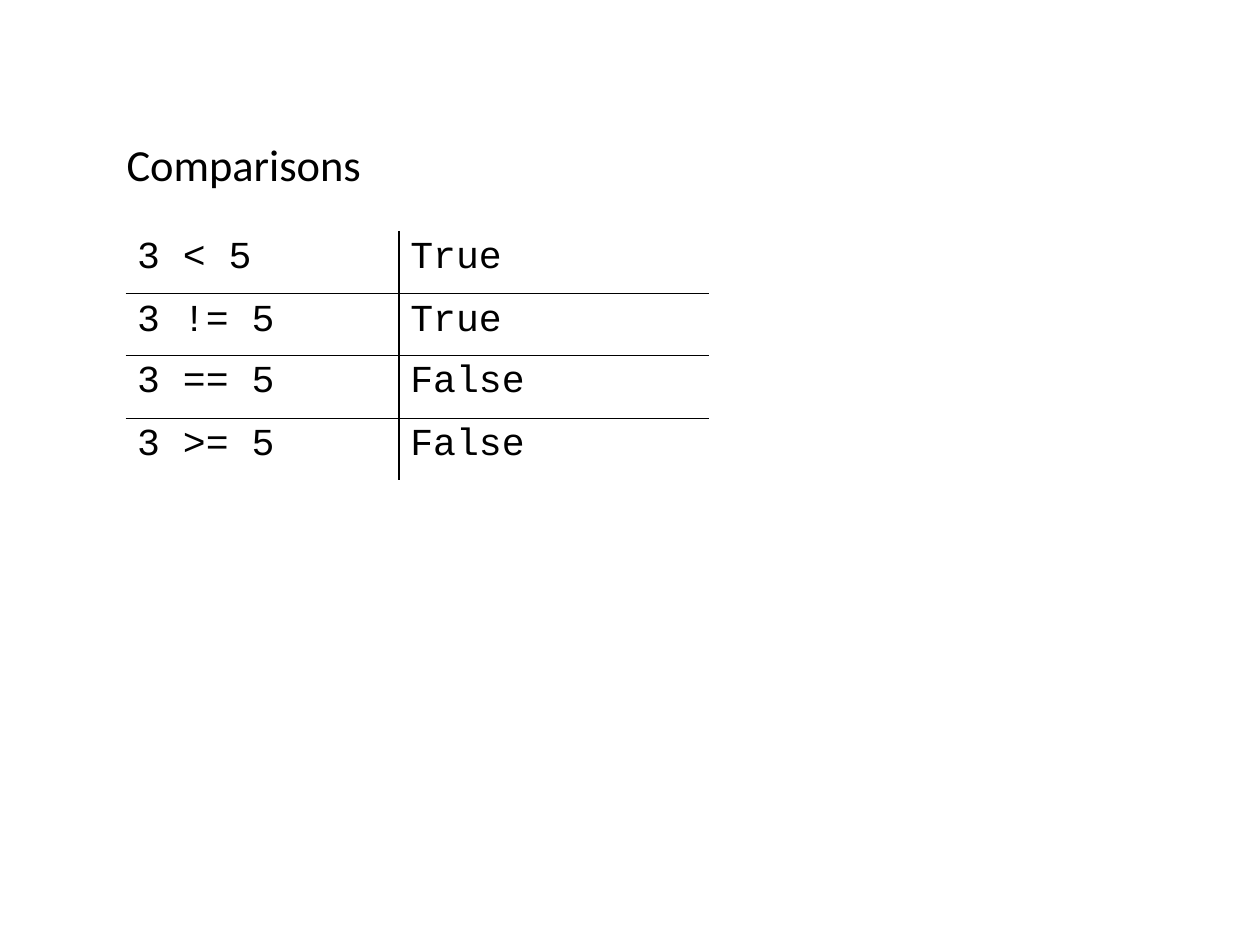
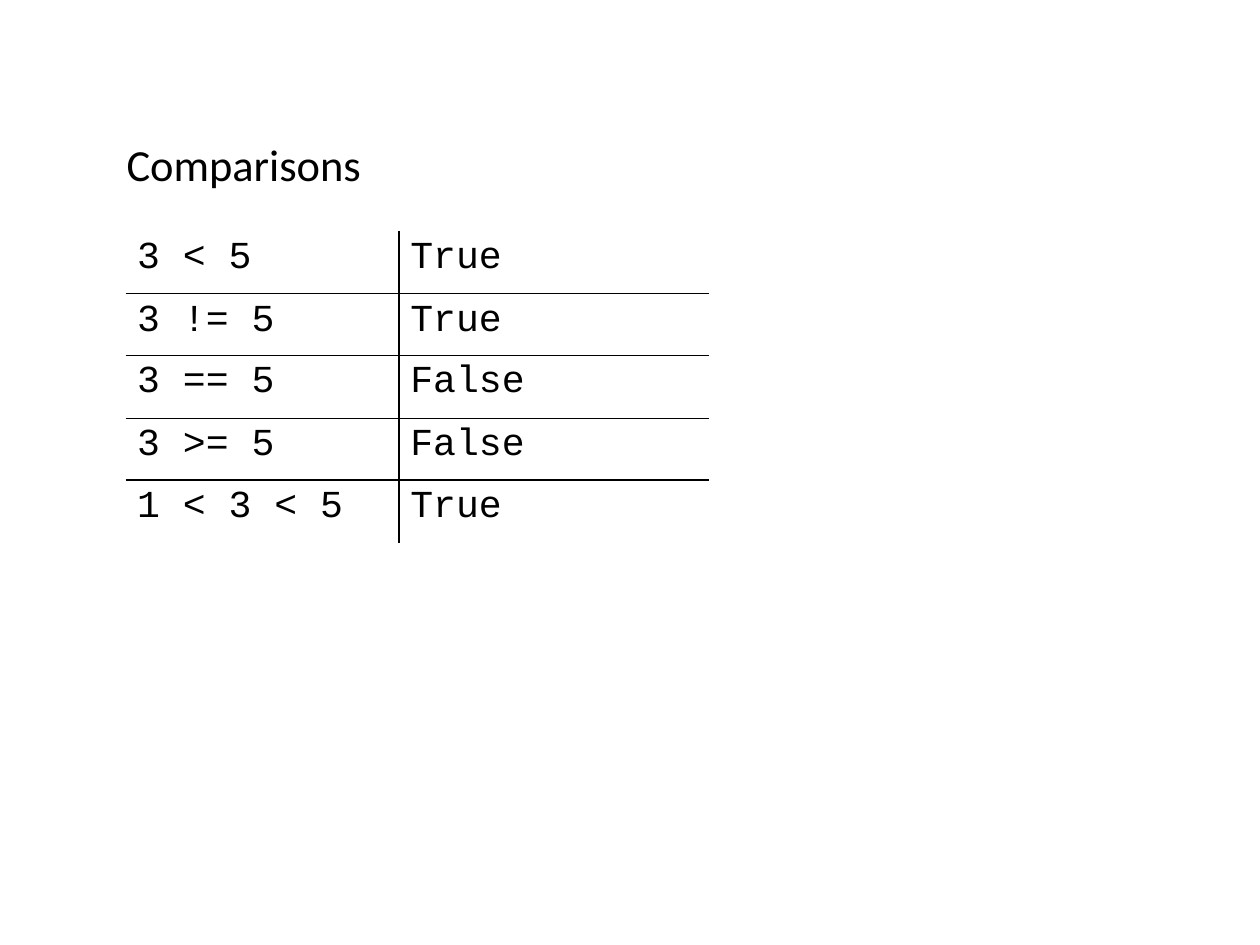
from dataclasses import dataclass
from itertools import cycle, islice

from lxml import etree
from pptx import Presentation
from pptx.dml.color import RGBColor
from pptx.enum.text import MSO_ANCHOR, MSO_AUTO_SIZE
from pptx.oxml.ns import qn
from pptx.util import Inches, Pt

TOP = MSO_ANCHOR.TOP
GROW = MSO_AUTO_SIZE.SHAPE_TO_FIT_TEXT


@dataclass(frozen=True)
class Theme:
    ink: str = "000000"
    paper: str = "FFFFFF"
    title_font: str = "Calibri"
    code_font: str = "Courier New"
    title_size: int = 28
    code_size: int = 24
    rule_width: int = 1


THEME = Theme()
CM_PER_INCH = 2.54
SLIDE_WIDTH = 28 / CM_PER_INCH
SLIDE_HEIGHT = 21 / CM_PER_INCH
TITLE_BOX = (1.01, 0.92, 2.27, 0.73)
TABLE_ORIGIN = (1.1, 2.02)
COLUMNS = (2.39, 2.71)
ROW_HEIGHTS = (0.55, 0.54)

COMPARISONS = [
    ("3 < 5", "True"),
    ("3 != 5", "True"),
    ("3 == 5", "False"),
    ("3 >= 5", "False"),
    ("1 < 3 < 5", "True"),
]


def add_run(p, text, font, size):
    r = p.add_run()
    r.text = text
    r.font.name = font
    r.font.size = Pt(size)
    r.font.color.rgb = RGBColor.from_string(THEME.ink)


def add_title(s, text, box):
    tf = s.shapes.add_textbox(*map(Inches, box)).text_frame
    tf.word_wrap = False
    tf.auto_size = GROW
    tf.vertical_anchor = TOP
    p = tf.paragraphs[0]
    pPr = p._p.get_or_add_pPr()
    pPr.set("marL", str(Inches(0.5)))
    pPr.set("indent", str(-Inches(0.5)))
    p.line_spacing = 1.5
    add_run(p, text, THEME.title_font, THEME.title_size)


def set_borders(cell, edges):
    tcPr = cell._tc.get_or_add_tcPr()
    for position, (side, visible) in enumerate(edges.items()):
        ln = etree.Element(qn(f"a:ln{side}"), w=str(Pt(THEME.rule_width)))
        if visible:
            fill = etree.SubElement(ln, qn("a:solidFill"))
            etree.SubElement(fill, qn("a:srgbClr"), val=THEME.ink)
        else:
            etree.SubElement(ln, qn("a:noFill"))
        tcPr.insert(position, ln)


def add_comparison_table(s, rows, origin):
    heights = list(islice(cycle(ROW_HEIGHTS), len(rows)))
    size = (sum(COLUMNS), sum(heights))
    frame = s.shapes.add_table(
        len(rows), len(COLUMNS), *map(Inches, origin + size)
    )
    table = frame.table
    table.first_row = False
    table.horz_banding = False
    for column, width in zip(table.columns, COLUMNS):
        column.width = Inches(width)
    for i, (row, height) in enumerate(zip(rows, heights)):
        table.rows[i].height = Inches(height)
        for j, text in enumerate(row):
            cell = table.cell(i, j)
            cell.fill.background()
            set_borders(cell, {
                "L": j > 0,
                "R": j < len(COLUMNS) - 1,
                "T": i > 0,
                "B": i < len(rows) - 1,
            })
            p = cell.text_frame.paragraphs[0]
            p.line_spacing = 0.93
            p.space_after = Pt(14.2)
            add_run(p, text, THEME.code_font, THEME.code_size)


def add_comparison_slide(prs, rows):
    s = prs.slides.add_slide(prs.slide_layouts[6])
    s.background.fill.solid()
    s.background.fill.fore_color.rgb = RGBColor.from_string(THEME.paper)
    add_title(s, "Comparisons", TITLE_BOX)
    add_comparison_table(s, rows, TABLE_ORIGIN)


def main():
    prs = Presentation()
    prs.slide_width = Inches(SLIDE_WIDTH)
    prs.slide_height = Inches(SLIDE_HEIGHT)
    add_comparison_slide(prs, COMPARISONS[:-1])
    add_comparison_slide(prs, COMPARISONS)
    prs.save("out.pptx")


if __name__ == "__main__":
    main()
